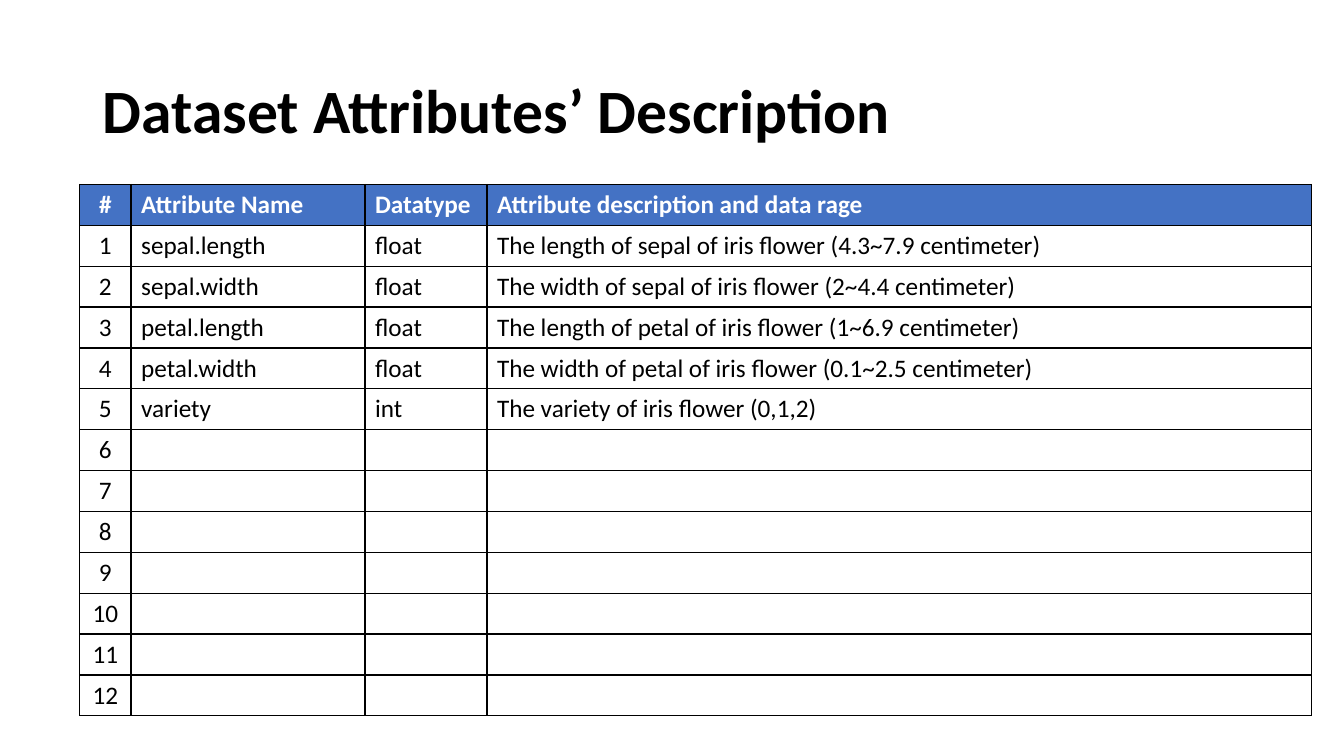
from lxml import etree
from pptx import Presentation
from pptx.dml.color import RGBColor
from pptx.enum.text import MSO_ANCHOR, MSO_AUTO_SIZE, PP_ALIGN
from pptx.oxml.ns import qn
from pptx.util import Inches, Pt

LEFT, CENTER = PP_ALIGN.LEFT, PP_ALIGN.CENTER
MIDDLE = MSO_ANCHOR.MIDDLE
NO_FIT = MSO_AUTO_SIZE.NONE

THEME = {
    "font": "Calibri",
    "ink": "000000",
    "head": "4472C4",
    "light": "FFFFFF",
    "title": Pt(44),
    "body": Pt(18),
    "line": Pt(1),
}


def write(frame, text, size, color, bold, align):
    para = frame.paragraphs[0]
    para.alignment = align
    run = para.add_run()
    run.text = text
    look = {"name": THEME["font"], "size": size, "bold": bold}
    for key, value in look.items():
        setattr(run.font, key, value)
    run.font.color.rgb = RGBColor.from_string(color)


def border(cell):
    props = cell._tc.get_or_add_tcPr()
    for side in ("lnL", "lnR", "lnT", "lnB"):
        line = etree.SubElement(props, qn(f"a:{side}"), w=str(THEME["line"]))
        fill = etree.SubElement(line, qn("a:solidFill"))
        etree.SubElement(fill, qn("a:srgbClr"), val=THEME["ink"])


deck = Presentation()
deck.slide_width = Inches(13.33)
deck.slide_height = Inches(7.5)
slide = deck.slides.add_slide(deck.slide_layouts[5])

title = slide.shapes.title
place = {"left": 0.92, "top": 0.4, "width": 11.5, "height": 1.45}
for key, value in place.items():
    setattr(title, key, Inches(value))
frame = title.text_frame
setup = {"word_wrap": True, "auto_size": NO_FIT, "vertical_anchor": MIDDLE}
for key, value in setup.items():
    setattr(frame, key, value)
write(frame, "Dataset Attributes’ Description", THEME["title"], THEME["ink"], True, LEFT)
frame.paragraphs[0].line_spacing = 0.9

fields = [
    ("sepal.length", "float", "The length of sepal of iris flower (4.3~7.9 centimeter)"),
    ("sepal.width", "float", "The width of sepal of iris flower (2~4.4 centimeter)"),
    ("petal.length", "float", "The length of petal of iris flower (1~6.9 centimeter)"),
    ("petal.width", "float", "The width of petal of iris flower (0.1~2.5 centimeter)"),
    ("variety", "int", "The variety of iris flower (0,1,2)"),
]
count = 12
fields += [("", "", "")] * (count - len(fields))
rows = [("#", "Attribute Name", "Datatype", "Attribute description and data rage")]
rows += [(str(num), *field) for num, field in enumerate(fields, 1)]
widths = [0.51, 2.32, 1.21, 8.18]

table = slide.shapes.add_table(
    len(rows), len(widths), Inches(0.79), Inches(1.83), Inches(sum(widths)), Inches(5.27)
).table
table.horz_banding = False
for column, width in zip(table.columns, widths):
    column.width = Inches(width)

for row, texts in enumerate(rows):
    first = row == 0
    color = THEME["light"] if first else THEME["ink"]
    for col, text in enumerate(texts):
        cell = table.cell(row, col)
        border(cell)
        if first:
            cell.fill.solid()
            cell.fill.fore_color.rgb = RGBColor.from_string(THEME["head"])
        else:
            cell.fill.background()
        if text:
            align = CENTER if col == 0 else LEFT
            write(cell.text_frame, text, THEME["body"], color, first, align)

deck.save("out.pptx")
